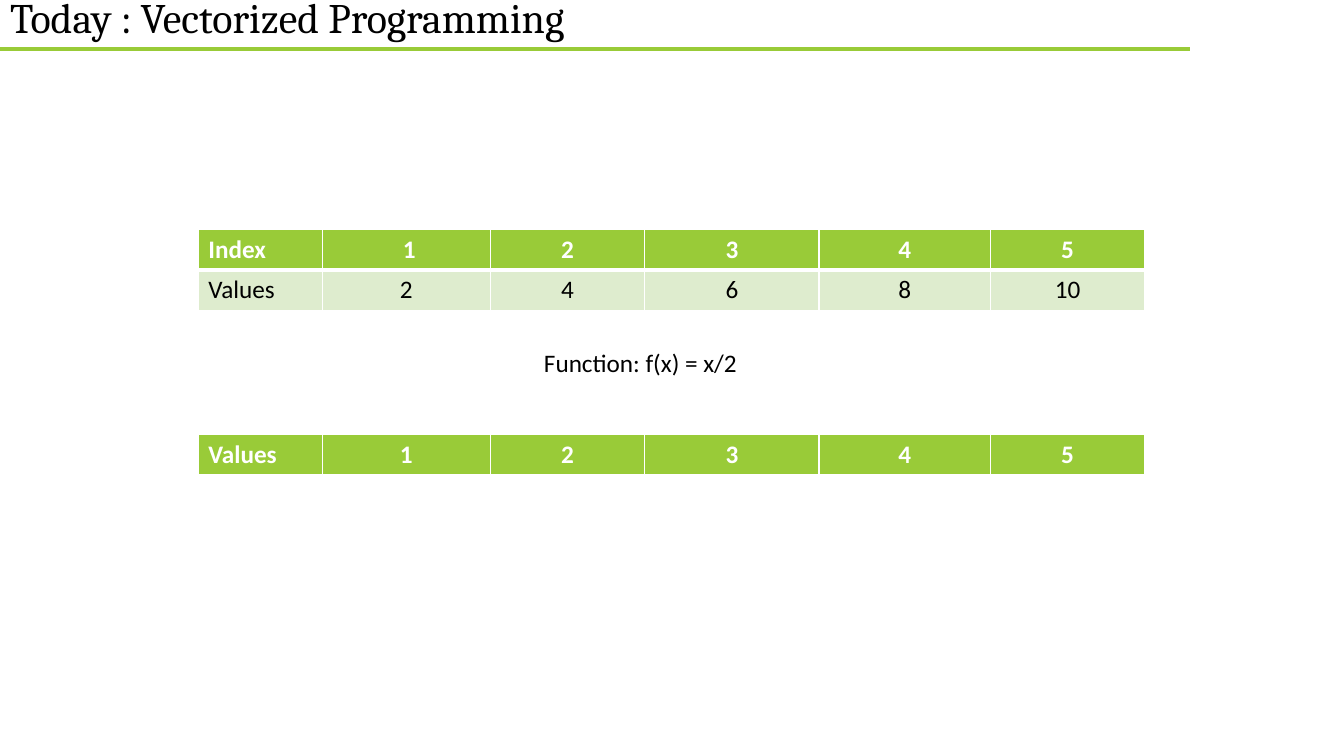
import pptx
import pptx.util
import pptx.dml.color
import pptx.enum.shapes
import pptx.enum.text
import pptx.oxml
import pptx.oxml.ns
from pptx.util import Cm

COLORS = {"green": "99CB38", "pale": "DEECCE", "white": "FFFFFF", "black": "000000"}
ALIGN = pptx.enum.text.PP_ALIGN
ANCHOR = pptx.enum.text.MSO_ANCHOR


def rgb(name):
    return pptx.dml.color.RGBColor.from_string(COLORS[name])


class Deck:
    def __init__(self, wide, high):
        self.font, self.size = "Calibri", 18
        self.prs = pptx.Presentation()
        self.prs.slide_width, self.prs.slide_height = Cm(wide), Cm(high)
        self.slide = self.prs.slides.add_slide(self.prs.slide_layouts[5])

    def add_run(self, para, text, color="black", bold=False, font=None, size=None):
        run = para.add_run()
        run.text = text
        run.font.name = font or self.font
        run.font.size = pptx.util.Pt(size or self.size)
        run.font.bold = bold
        run.font.color.rgb = rgb(color)

    def title(self, text, left, top, wide, high):
        box = self.slide.shapes.title
        box.left, box.top, box.width, box.height = map(Cm, (left, top, wide, high))
        frame = box.text_frame
        frame.vertical_anchor = ANCHOR.MIDDLE
        frame.auto_size = pptx.enum.text.MSO_AUTO_SIZE.NONE
        para = frame.paragraphs[0]
        para.alignment, para.line_spacing = ALIGN.LEFT, 0.9
        self.add_run(para, text, font="Cambria", size=30)

    def line(self, x1, y1, x2, y2, color, width):
        kind = pptx.enum.shapes.MSO_CONNECTOR.STRAIGHT
        rule = self.slide.shapes.add_connector(kind, *map(Cm, (x1, y1, x2, y2)))
        rule.line.color.rgb = rgb(color)
        rule.line.width = pptx.util.Pt(width)
        props = rule._element.spPr
        props.append(pptx.oxml.parse_xml(
            "<a:effectLst %s/>" % pptx.oxml.ns.nsdecls("a")))

    def text(self, text, left, top, wide, high):
        box = self.slide.shapes.add_textbox(*map(Cm, (left, top, wide, high)))
        box.text_frame.word_wrap = True
        self.add_run(box.text_frame.paragraphs[0], text)

    def border(self, cell, **widths):
        props = cell._tc.get_or_add_tcPr()
        for side in "LRTB":
            width = pptx.util.Pt(widths.get(side, 1))
            props.append(pptx.oxml.parse_xml(
                '<a:ln%s %s w="%d"><a:solidFill><a:srgbClr val="%s"/></a:solidFill></a:ln%s>'
                % (side, pptx.oxml.ns.nsdecls("a"), width, COLORS["white"], side)))

    def table(self, rows, left, top, cols, high):
        frame = self.slide.shapes.add_table(
            len(rows), len(cols), Cm(left), Cm(top), Cm(sum(cols)), Cm(high * len(rows)))
        grid = frame.table
        for col, wide in zip(grid.columns, cols):
            col.width = Cm(wide)
        for r, row in enumerate(rows):
            grid.rows[r].height = Cm(high)
            head = r == 0
            for c, text in enumerate(row):
                cell = grid.cell(r, c)
                # The heading row has a thick rule below it
                self.border(cell, T=3 if r == 1 else 1, B=3 if head else 1)
                cell.fill.solid()
                cell.fill.fore_color.rgb = rgb("green" if head else "pale")
                para = cell.text_frame.paragraphs[0]
                para.alignment = ALIGN.CENTER if c else ALIGN.LEFT
                self.add_run(para, text, "white" if head else "black", head)


deck = Deck(33.87, 19.05)

# Heading and rule
deck.title("Today : Vectorized Programming", 0, -0.3, 23.75, 1.6)
deck.line(0, 1.24, 30, 1.24, "green", 3)

# Input, function and result
COLS = [3.12, 4.24, 3.89, 4.39, 4.32, 3.89]
LEFT, HIGH = 5, 1.03
deck.table([["Index", " 1", "2", "3", "4", "5"],
            ["Values", "2", "4", "6", "8", "10"]], LEFT, 5.77, COLS, HIGH)
deck.table([["Values", "1", "2", "3", "4", "5"]], LEFT, 10.95, COLS, HIGH)
deck.text("Function: f(x) = x/2", 13.46, 8.64, 5.94, 1.03)

deck.prs.save("out.pptx")
